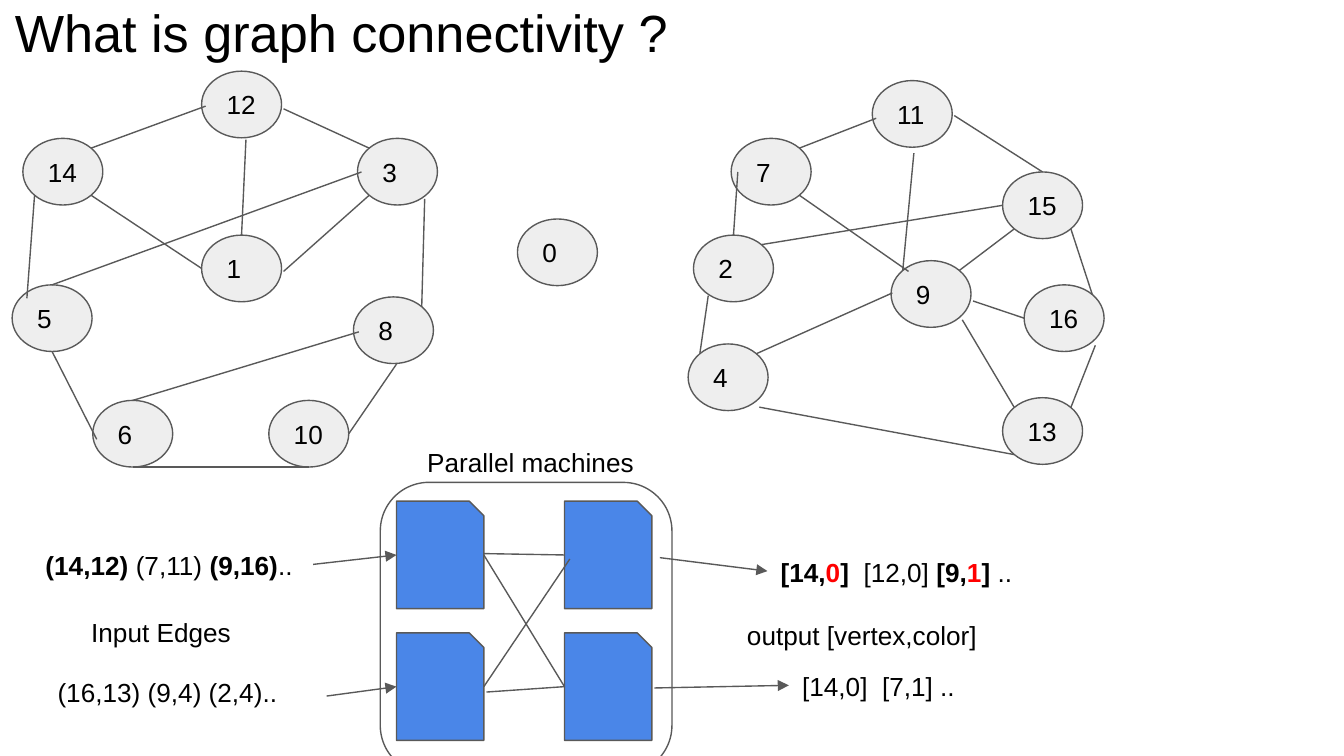
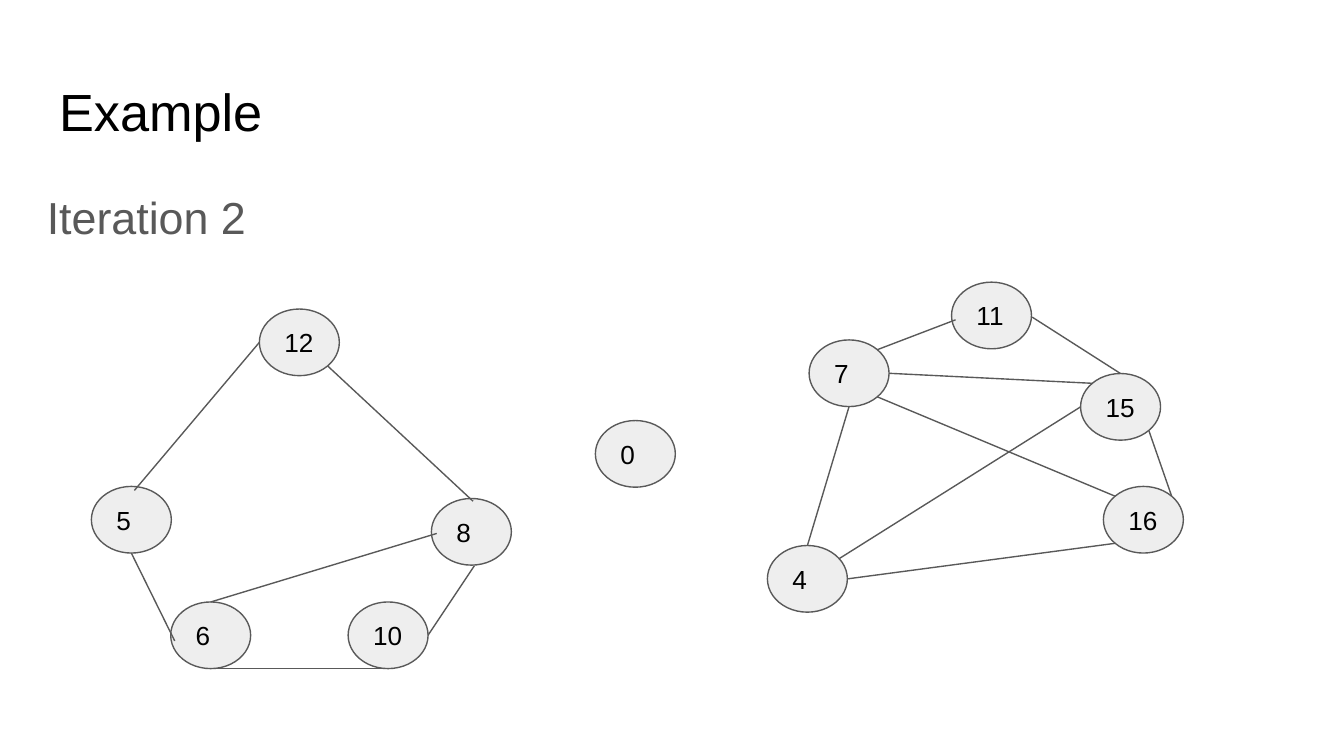
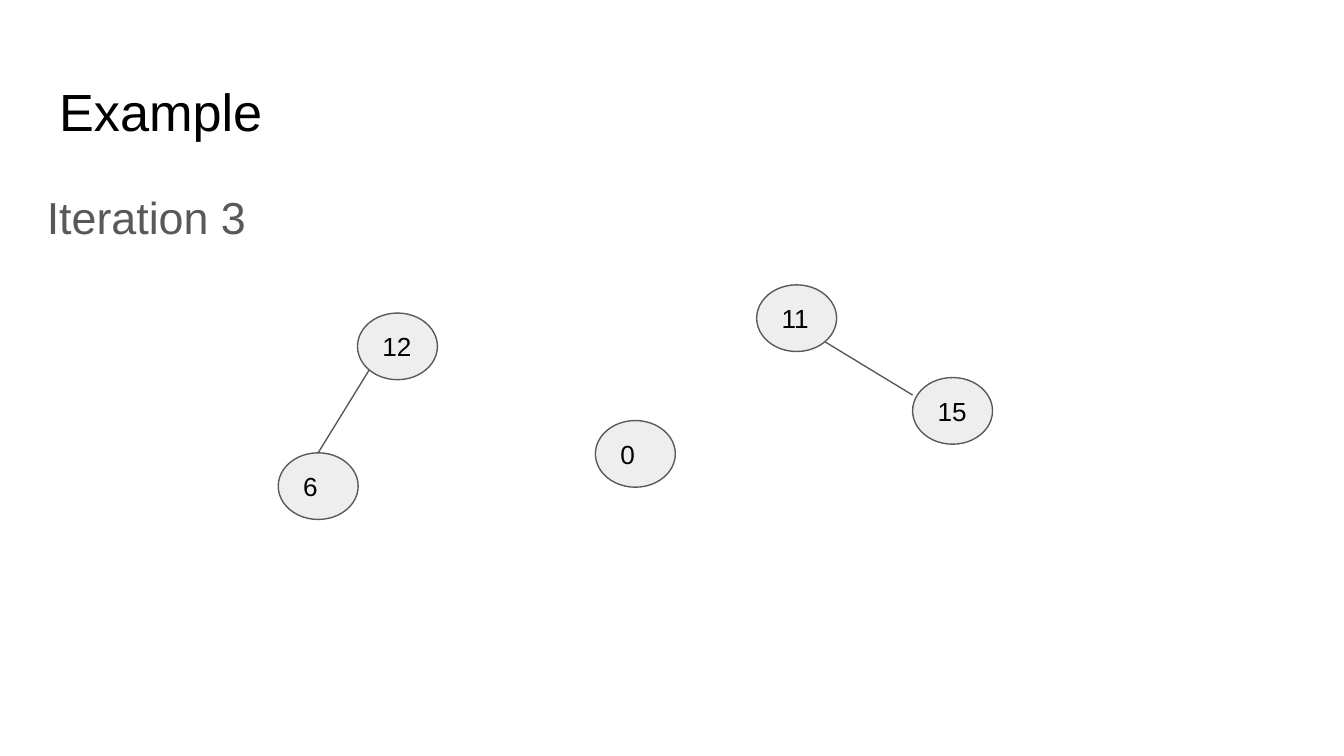
from math import cos, radians, sin
from lxml.etree import SubElement
from pptx import Presentation
from pptx.dml.color import RGBColor
from pptx.enum.shapes import MSO_CONNECTOR, MSO_SHAPE
from pptx.enum.text import MSO_ANCHOR, MSO_AUTO_SIZE, PP_ALIGN
from pptx.oxml.ns import qn
from pptx.util import Cm, Pt

# Shared look
FONT = "Arial"
INK, GREY, PALE = "000000", "595959", "EEEEEE"
BLUE, RED, WHITE = "4A86E8", "FF0000", "FFFFFF"
NODE_W, NODE_H = 0.595, 0.496
ANGLES = {"e": 0, "se": 45, "s": 90, "sw": 135,
          "w": 180, "nw": 225, "n": 270, "ne": 315}


def inch(num):
    return Cm(num * 2.54)


def tint(code):
    return RGBColor.from_string(code)


# Text
def write(frame, runs, size=14, color=INK):
    """Fill a frame with runs of (text, bold, colour) or one plain string."""
    frame.word_wrap = True
    frame.auto_size = MSO_AUTO_SIZE.NONE
    frame.margin_left = frame.margin_right = inch(0.1)
    frame.margin_top = frame.margin_bottom = inch(0.1)
    para = frame.paragraphs[0]
    para.alignment = PP_ALIGN.LEFT
    if isinstance(runs, str):
        runs = [(runs, False, color)]
    for words, bold, shade in runs:
        run = para.add_run()
        run.text = words
        run.font.name = FONT
        run.font.size = Pt(size)
        run.font.bold = bold
        run.font.color.rgb = tint(shade)
    return para


def add_text(slide, box, runs, size=14, color=INK):
    area = slide.shapes.add_textbox(*map(inch, box))
    return write(area.text_frame, runs, size, color)


def add_slide(deck, title, box):
    slide = deck.slides.add_slide(deck.slide_layouts[5])
    slide.background.fill.solid()
    slide.background.fill.fore_color.rgb = tint(WHITE)
    head = slide.shapes.title
    head.left, head.top, head.width, head.height = map(inch, box)
    head.text_frame.vertical_anchor = MSO_ANCHOR.TOP
    write(head.text_frame, title, 28)
    return slide


def add_step(deck, label):
    slide = add_slide(deck, "Example", (0.34, 0.49, 9.32, 0.63))
    para = add_text(slide, (0.25, 1.25, 2.3, 0.71), label, 24, GREY)
    para.line_spacing = 1.15
    para.space_after = Pt(16)
    return slide


# Shapes and lines
def add_form(slide, kind, box, fill=None):
    form = slide.shapes.add_shape(kind, *map(inch, box))
    form.shadow.inherit = False
    form.line.color.rgb = tint(GREY)
    form.line.width = Pt(0.75)
    if fill:
        form.fill.solid()
        form.fill.fore_color.rgb = tint(fill)
    else:
        form.fill.background()
    return form


def add_line(slide, start, end, arrow=False):
    line = slide.shapes.add_connector(
        MSO_CONNECTOR.STRAIGHT, *map(inch, (*start, *end)))
    line.line.color.rgb = tint(GREY)
    line.line.width = Pt(0.75)
    if arrow:
        SubElement(line.line._get_or_add_ln(), qn("a:tailEnd"), type="triangle")
    SubElement(line._element.spPr, qn("a:effectLst"))


# Graphs
def locate(nodes, end):
    """Turn a mark such as '12ne' into a point on that node's rim."""
    if not isinstance(end, str):
        return end
    name = end.rstrip("nesw")
    left, top = nodes[name]
    turn = radians(ANGLES[end[len(name):]])
    return (left + NODE_W / 2 * (1 + cos(turn)),
            top + NODE_H / 2 * (1 + sin(turn)))


def add_graph(slide, nodes, edges):
    for name, spot in nodes.items():
        node = add_form(slide, MSO_SHAPE.OVAL, (*spot, NODE_W, NODE_H), PALE)
        node.text_frame.vertical_anchor = MSO_ANCHOR.MIDDLE
        write(node.text_frame, name)
    for start, end in edges:
        add_line(slide, locate(nodes, start), locate(nodes, end))


def add_machines(slide):
    for left in (2.95, 4.2):
        for top in (3.73, 4.71):
            add_form(slide, MSO_SHAPE.SNIP_1_RECTANGLE,
                     (left, top, 0.65, 0.8), BLUE)
    # Links between the machines
    for start, end in (((3.6, 4.13), (4.2, 5.11)), ((4.24, 4.16), (3.6, 5.11)),
                       ((3.6, 4.12), (4.2, 4.13)), ((3.62, 5.15), (4.2, 5.11))):
        add_line(slide, start, end)
    # Input and output arrows
    for start, end in (((2.33, 4.2), (2.95, 4.13)), ((2.43, 5.18), (2.95, 5.11)),
                       ((4.91, 4.15), (5.71, 4.25)), ((4.87, 5.12), (5.87, 5.1))):
        add_line(slide, start, end, arrow=True)
    add_form(slide, MSO_SHAPE.ROUNDED_RECTANGLE, (2.83, 3.59, 2.17, 2.17))
    # Labels
    add_text(slide, (3.08, 3.22, 1.79, 0.35), "Parallel machines")
    add_text(slide, (0.24, 3.99, 2.1, 0.42), [
        ("(14,12) ", True, INK), ("(7,11) ", False, INK),
        ("(9,16)", True, INK), (".. ", False, INK)])
    add_text(slide, (0.58, 4.49, 1.32, 0.35), "Input Edges")
    add_text(slide, (0.33, 4.93, 2.1, 0.42), "(16,13) (9,4) (2,4)..")
    add_text(slide, (5.71, 4.04, 2.1, 0.42), [
        ("[14,", True, INK), ("0", True, RED), ("] ", True, INK),
        (" [12,0] ", False, INK), ("[9,", True, INK), ("1", True, RED),
        ("]", True, INK), (" ..", False, INK)])
    add_text(slide, (5.46, 4.51, 2.1, 0.29), "output [vertex,color]")
    add_text(slide, (5.87, 4.89, 2.1, 0.42), "[14,0]  [7,1] .. ")


# Slides
def build_intro(deck):
    slide = add_slide(deck, "What is graph connectivity ?",
                      (0.01, -0.1, 5.43, 0.63))
    nodes = {
        "12": (1.5, 0.53), "14": (0.17, 1.03), "3": (2.66, 1.03),
        "1": (1.5, 1.75), "8": (2.63, 2.21), "5": (0.09, 2.12),
        "6": (0.69, 2.98), "10": (2, 2.98), "0": (3.85, 1.63),
        "11": (6.49, 0.6), "7": (5.44, 1.03), "15": (7.46, 1.28),
        "2": (5.16, 1.75), "4": (5.12, 2.56), "16": (7.62, 2.12),
        "9": (6.63, 1.94), "13": (7.46, 2.96)}
    edges = [
        # Left part
        ((1.53, 0.79), "14ne"), ((1.83, 1.04), "1n"), ((2.11, 0.81), "3nw"),
        ((3.16, 1.48), "8ne"), ((2.95, 2.71), "10e"), ("10s", "6s"),
        ((0.72, 3.27), "5s"), ((0.2, 2.22), "14sw"), ("14se", "1w"),
        ((2.11, 2.02), "3sw"), ((2.69, 1.28), "5n"), ((2.67, 2.47), "6n"),
        # Right part
        ((6.52, 0.88), "7ne"), ((7.1, 0.86), "15n"), ("15se", "16ne"),
        ((8.15, 2.57), "13ne"), ((5.27, 2.2), "4nw"), ((5.49, 1.28), "2n"),
        ((5.67, 1.82), "15w"), ((6.64, 2.18), "4ne"), ((7.16, 2.38), "13nw"),
        ((5.65, 3.03), "13sw"), ((7.24, 2.24), "16w"), ((6.8, 1.14), "9nw"),
        ("15sw", "9ne"), ((6.76, 2.02), "7se")]
    add_graph(slide, nodes, edges)
    add_machines(slide)


def build_second(deck):
    slide = add_step(deck, "Iteration 2")
    nodes = {
        "8": (3.21, 3.71), "5": (0.68, 3.62), "6": (1.27, 4.48),
        "10": (2.59, 4.48), "0": (4.43, 3.13), "11": (7.08, 2.1),
        "7": (6.02, 2.53), "15": (8.04, 2.78), "4": (5.71, 4.06),
        "16": (8.21, 3.62), "12": (1.93, 2.3)}
    edges = [
        ((3.53, 4.21), "10e"), ("10s", "6s"), ((1.3, 4.77), "5s"),
        ((3.25, 3.97), "6n"), ((3.52, 3.73), "12se"), ((1, 3.65), "12w"),
        ((7.11, 2.38), "7ne"), ((7.68, 2.36), "15n"), ("15se", "16ne"),
        ((6.24, 4.16), "15w"), ("7se", "16nw"), ("4n", "7s"),
        ("4e", "16sw"), ("7e", "15nw")]
    add_graph(slide, nodes, edges)


def build_third(deck):
    slide = add_step(deck, "Iteration 3")
    nodes = {"6": (2.07, 3.37), "0": (4.43, 3.13), "11": (5.63, 2.12),
             "15": (6.79, 2.81), "12": (2.66, 2.33)}
    add_graph(slide, nodes, [("11se", (6.79, 2.94)), ("12sw", "6n")])


def main():
    deck = Presentation()
    deck.slide_width, deck.slide_height = Cm(25.4), Cm(14.29)
    build_intro(deck)
    build_second(deck)
    build_third(deck)
    deck.save("out.pptx")


main()
